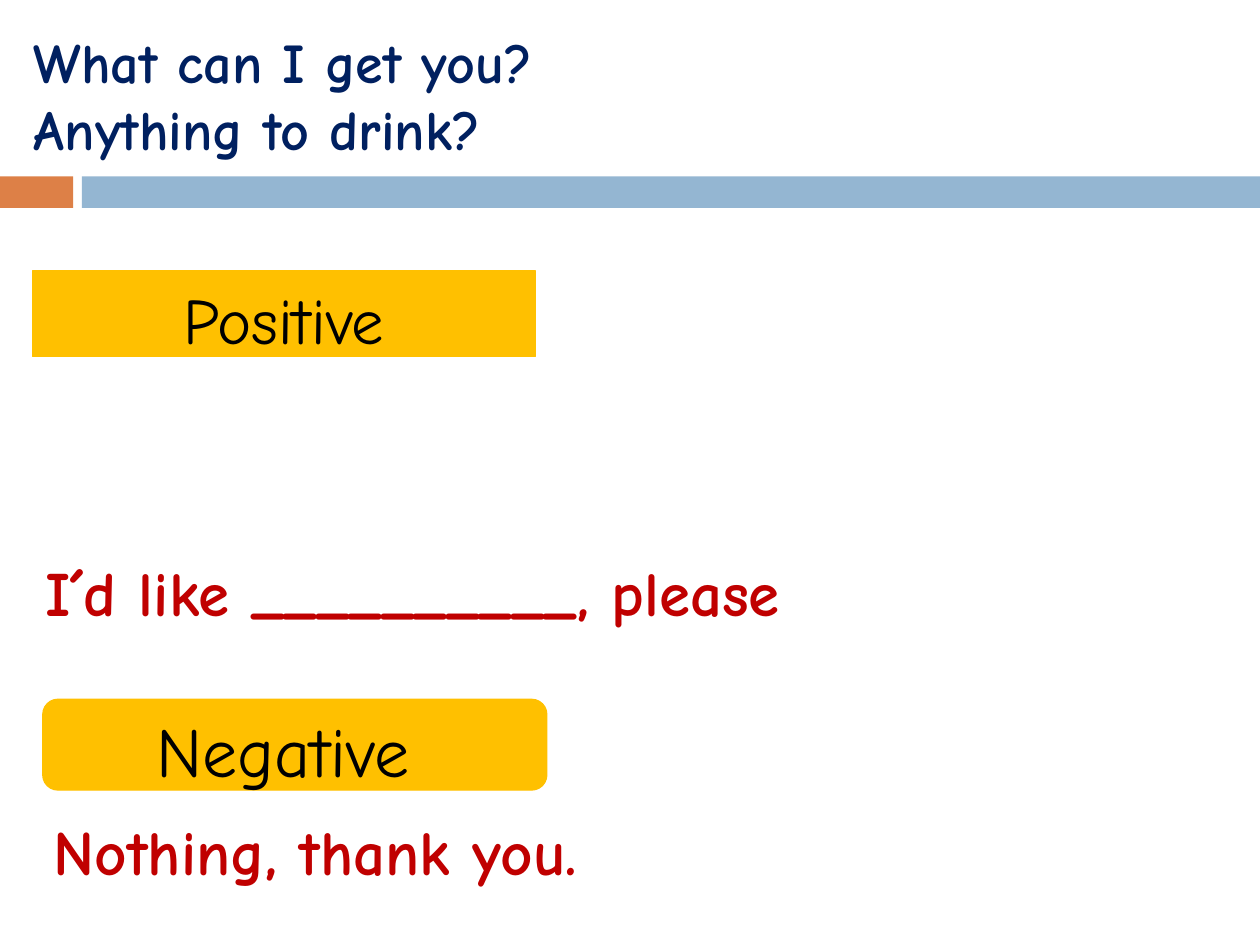
from dataclasses import dataclass

from pptx import Presentation
from pptx.dml.color import RGBColor
from pptx.enum.shapes import MSO_SHAPE
from pptx.enum.text import MSO_ANCHOR, PP_ALIGN
from pptx.util import Emu, Inches, Pt

ORANGE = RGBColor(0xDD, 0x80, 0x47)
BLUE = RGBColor(0x94, 0xB6, 0xD2)
GOLD = RGBColor(0xFF, 0xC0, 0x00)
NAVY = RGBColor(0x00, 0x20, 0x60)
RED = RGBColor(0xC0, 0x00, 0x00)
BLACK = RGBColor(0x00, 0x00, 0x00)

FONT = "Comic Neue"
WIDTH, HEIGHT = Inches(10), Inches(7.5)
# One hundred columns by seventy-five rows
COLUMN, ROW = WIDTH / 100, HEIGHT / 75


@dataclass(frozen=True)
class Area:
    column: float
    row: float
    columns: float
    rows: float

    def emu(self) -> tuple[Emu, ...]:
        return (Emu(round(self.column * COLUMN)), Emu(round(self.row * ROW)),
                Emu(round(self.columns * COLUMN)), Emu(round(self.rows * ROW)))


@dataclass(frozen=True)
class Phrase:
    area: Area
    lines: tuple[str, ...]
    size: int
    color: RGBColor


@dataclass(frozen=True)
class Label:
    area: Area
    text: str
    size: int
    outline: MSO_SHAPE


BAND = ((Area(0, 14, 5.8, 2.5), ORANGE), (Area(6.5, 14, 93.5, 2.5), BLUE))
PHRASES = (
    Phrase(Area(2.6, 43.4, 84, 7.1), ("I´d like __________, please",), 36, RED),
    Phrase(Area(3.3, 64, 80.6, 7.1), ("Nothing, thank you.",), 36, RED),
    Phrase(Area(1.7, 1.7, 78, 11.8),
           ("What can I get you?", "Anything to drink?"), 32, NAVY),
)
LABELS = (
    Label(Area(2.6, 21.5, 39.9, 6.8), "Positive", 37, MSO_SHAPE.RECTANGLE),
    Label(Area(3.4, 55.5, 40, 7.2), "Negative ", 40, MSO_SHAPE.ROUNDED_RECTANGLE),
)


def write(paragraph, text: str, size: int, color: RGBColor, bold: bool) -> None:
    run = paragraph.add_run()
    run.text = text
    for name, value in {"name": FONT, "size": Pt(size), "bold": bold}.items():
        setattr(run.font, name, value)
    run.font.color.rgb = color


def add_block(slide, outline: MSO_SHAPE, area: Area, fill: RGBColor):
    block = slide.shapes.add_shape(outline, *area.emu())
    block.shadow.inherit = False
    block.fill.solid()
    block.fill.fore_color.rgb = fill
    block.line.fill.background()
    return block


def add_phrase(slide, phrase: Phrase) -> None:
    frame = slide.shapes.add_textbox(*phrase.area.emu()).text_frame
    frame.word_wrap = True
    for index, line in enumerate(phrase.lines):
        paragraph = frame.add_paragraph() if index else frame.paragraphs[0]
        write(paragraph, line, phrase.size, phrase.color, True)


def add_label(slide, label: Label) -> None:
    block = add_block(slide, label.outline, label.area, GOLD)
    block.line.color.rgb = GOLD
    block.line.width = Pt(0.75)
    frame = block.text_frame
    settings = {"word_wrap": True, "vertical_anchor": MSO_ANCHOR.MIDDLE,
                "margin_top": Inches(0.13)}
    for name, value in settings.items():
        setattr(frame, name, value)
    frame.paragraphs[0].alignment = PP_ALIGN.CENTER
    write(frame.paragraphs[0], label.text, label.size, BLACK, False)


def main() -> None:
    deck = Presentation()
    deck.slide_width, deck.slide_height = WIDTH, HEIGHT
    slide = deck.slides.add_slide(deck.slide_layouts[6])

    # Divider band under the questions
    for area, fill in BAND:
        add_block(slide, MSO_SHAPE.RECTANGLE, area, fill)

    # Questions and answers
    for phrase in PHRASES:
        add_phrase(slide, phrase)

    # Answer type labels
    for label in LABELS:
        add_label(slide, label)

    deck.save("out.pptx")


if __name__ == "__main__":
    main()
